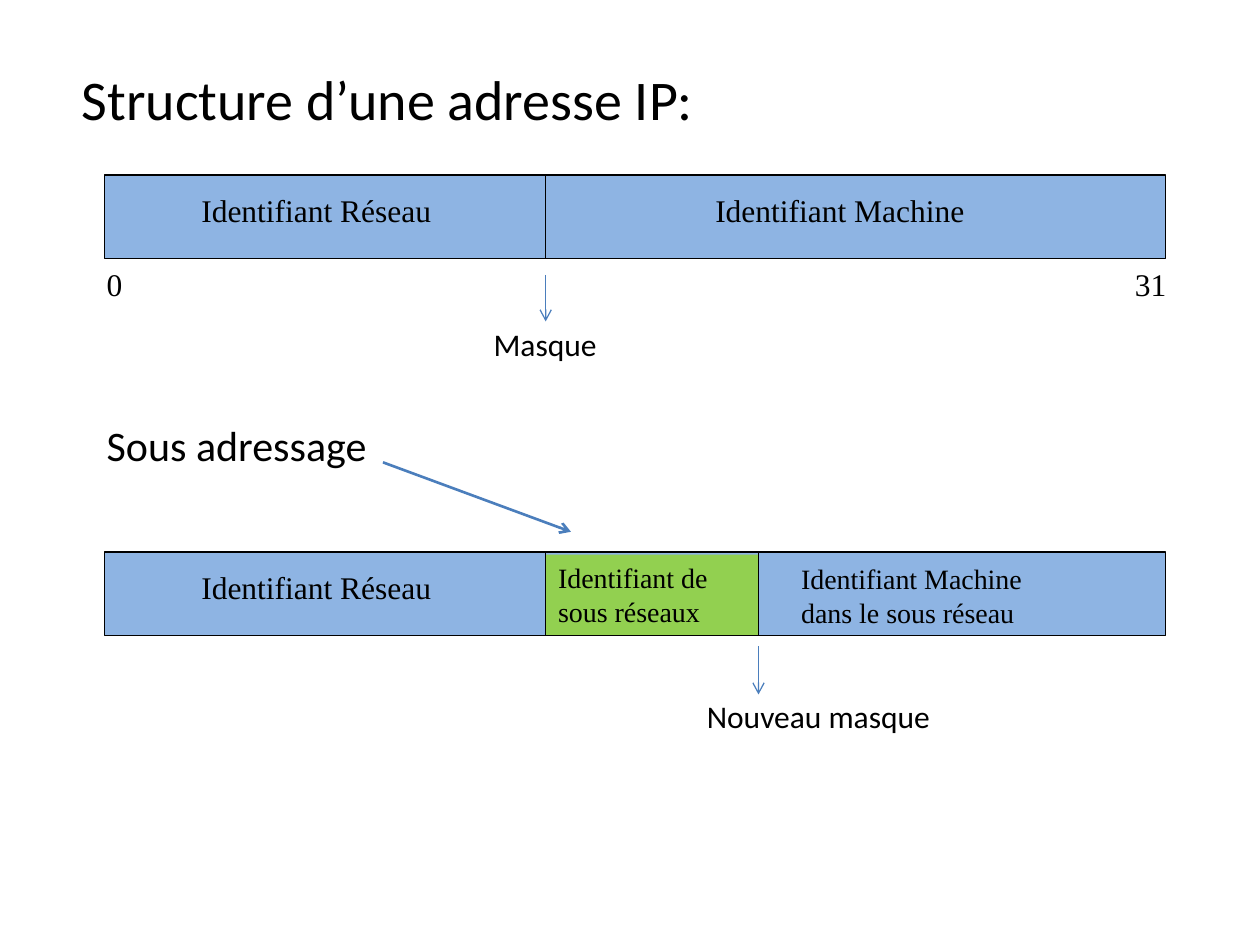
import pptx
import pptx.dml.color
import pptx.enum.shapes
import pptx.enum.text
import pptx.oxml
import pptx.oxml.ns
import pptx.util
from pptx.util import Cm

COLOURS = {"blue": "8EB4E3", "green": "92D050", "arrow": "4B7EBC", "black": "000000"}
SERIF, SANS = "Times New Roman", "Calibri"

BAR_LEFT, MASK, NEW_MASK, BAR_RIGHT = 2.11, 11, 15.29, 23.5
BAR_HEIGHT = 1.69
ADDRESS_TOP, SUBNET_TOP = 3.53, 11.13

presentation = pptx.Presentation()
presentation.slide_width, presentation.slide_height = Cm(25.4), Cm(19.05)
slide = presentation.slides.add_slide(presentation.slide_layouts[6])


def rgb(name):
    """Return the named colour."""
    return pptx.dml.color.RGBColor.from_string(COLOURS[name])


def add_line(start, end, colour, width, arrow=False):
    """Draw a straight line between two points, with an arrowhead if asked."""
    line = slide.shapes.add_connector(
        pptx.enum.shapes.MSO_CONNECTOR.STRAIGHT, *map(Cm, start + end))
    line.line.color.rgb = rgb(colour)
    line.line.width = pptx.util.Pt(width)
    if arrow:
        head = pptx.oxml.parse_xml(
            f'<a:tailEnd {pptx.oxml.ns.nsdecls("a")} type="arrow"/>')
        line.line._get_or_add_ln().append(head)
    properties = line._element.spPr
    properties.append(pptx.oxml.parse_xml(f'<a:effectLst {pptx.oxml.ns.nsdecls("a")}/>'))


# Address bars and the subnet field: left, top, right, height, fill
fields = [
    (BAR_LEFT, ADDRESS_TOP, BAR_RIGHT, BAR_HEIGHT, "blue"),
    (BAR_LEFT, SUBNET_TOP, BAR_RIGHT, BAR_HEIGHT, "blue"),
    (MASK, SUBNET_TOP + 0.05, NEW_MASK, BAR_HEIGHT - 0.07, "green"),
]
for left, top, right, height, fill in fields:
    field = slide.shapes.add_shape(
        pptx.enum.shapes.MSO_SHAPE.RECTANGLE,
        Cm(left), Cm(top), Cm(right - left), Cm(height))
    field.shadow.inherit = False
    field.fill.solid()
    field.fill.fore_color.rgb = rgb(fill)
    if fill == "green":
        field.line.fill.background()
    else:
        field.line.color.rgb = rgb("black")
        field.line.width = pptx.util.Pt(0.75)

# Field boundaries
for x, top in [(MASK, ADDRESS_TOP), (MASK, SUBNET_TOP), (NEW_MASK, SUBNET_TOP)]:
    add_line((x, top), (x, top + BAR_HEIGHT), "black", 0.75)

# Arrows to the masks and to the subnet field
add_line((MASK, 5.54), (MASK, 6.48), "arrow", 0.75, arrow=True)
add_line((NEW_MASK, 13.03), (NEW_MASK, 14), "arrow", 0.75, arrow=True)
add_line((7.72, 9.32), (11.51, 10.72), "arrow", 1.5, arrow=True)

# Texts: lines, left, top, width, height, size, font
texts = [
    (["Structure d’une adresse IP:"], 1.4, 1.32, 22.73, 2.21, 32, SANS),
    (["Identifiant Réseau"], 3.81, 3.73, 6.68, 1.27, 18, SERIF),
    (["Identifiant Machine"], 14.17, 3.73, 7.21, 1.27, 18, SERIF),
    (["0"], 1.9, 5.21, 0.94, 1.27, 18, SERIF),
    (["31"], 22.63, 5.21, 1.35, 1.27, 18, SERIF),
    (["Masque"], 9.7, 6.43, 2.62, 1.02, 18, SANS),
    (["Sous adressage"], 1.9, 8.33, 5.82, 1.27, 24, SANS),
    (["Identifiant Réseau"], 3.81, 11.33, 6.68, 1.27, 18, SERIF),
    (["Identifiant de", "sous réseaux"], MASK, 11.18, 4.29, 1.62, 16, SERIF),
    (["Identifiant Machine", "dans le sous réseau"], 15.9, 11.2, 5.03, 1.62, 16, SERIF),
    (["Nouveau masque"], 14, 13.92, 5.08, 1.02, 18, SANS),
]
for lines, left, top, width, height, size, font in texts:
    box = slide.shapes.add_textbox(Cm(left), Cm(top), Cm(width), Cm(height))
    frame = box.text_frame
    frame.word_wrap = True
    frame.vertical_anchor = pptx.enum.text.MSO_ANCHOR.TOP
    frame.text = "\n".join(lines)
    for paragraph in frame.paragraphs:
        paragraph.font.name = font
        paragraph.font.size = pptx.util.Pt(size)
        paragraph.font.color.rgb = rgb("black")
        if size == 32:
            paragraph.line_spacing = 0.9

presentation.save("out.pptx")
